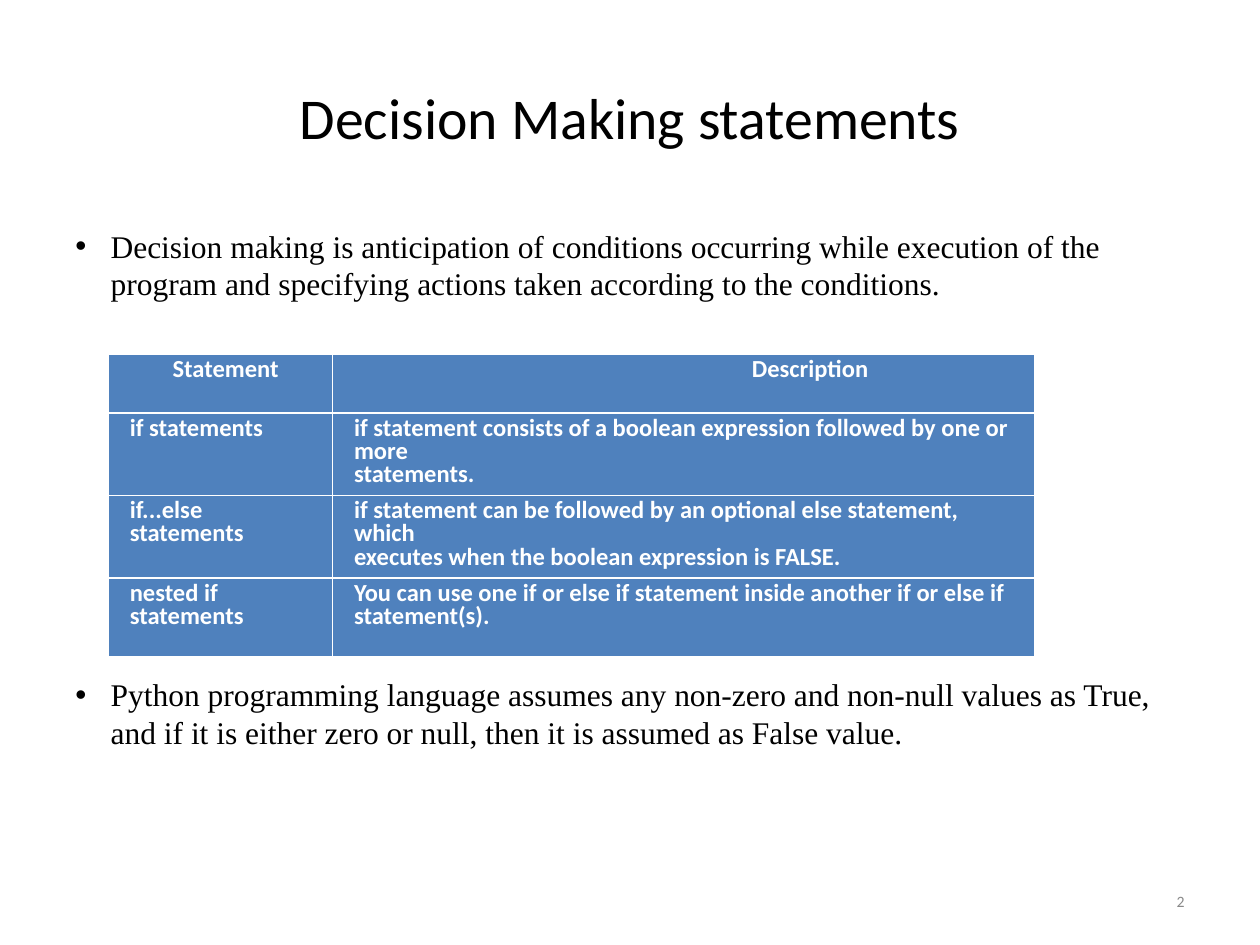
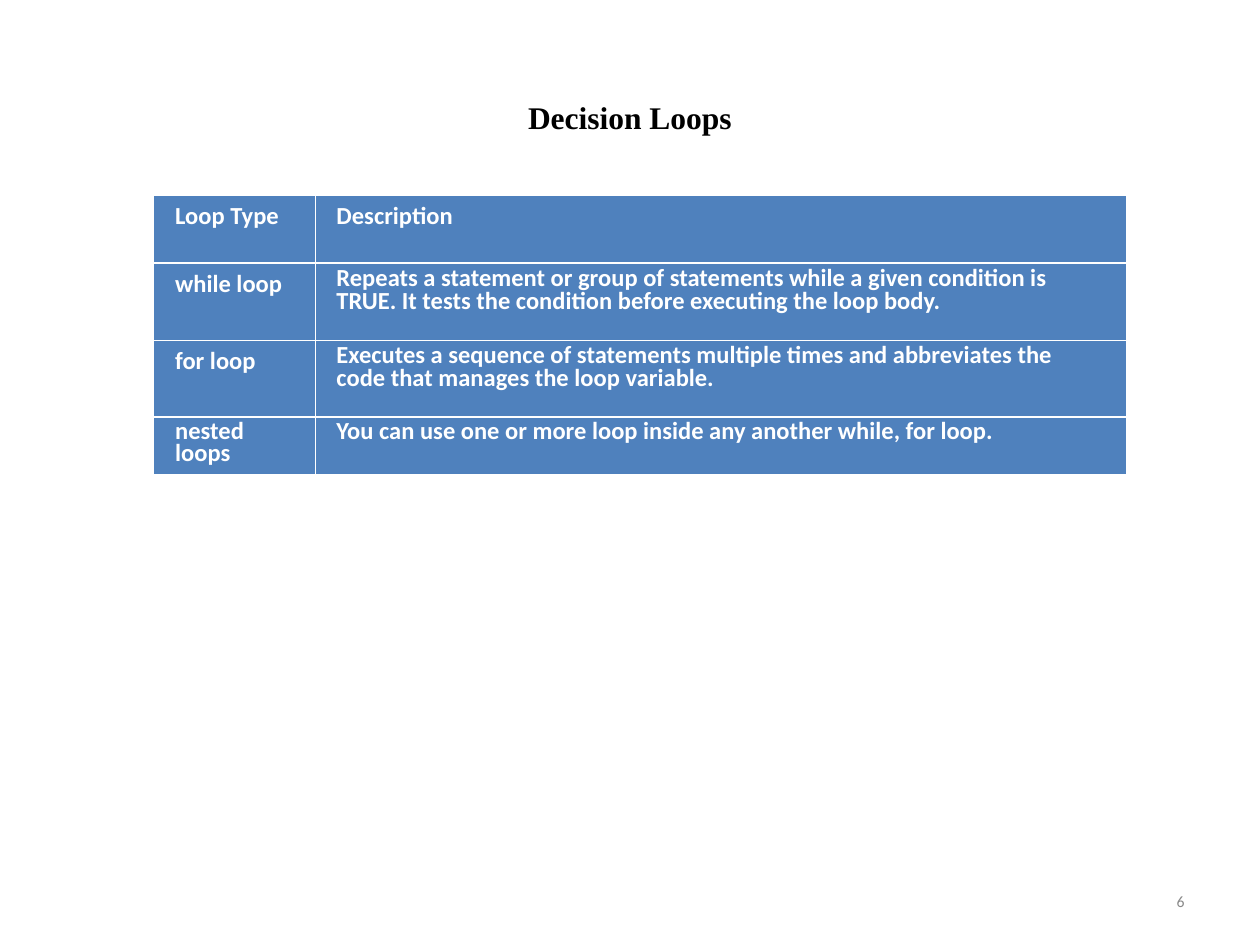
from dataclasses import dataclass

from lxml.etree import SubElement
from pptx import Presentation
from pptx.dml.color import RGBColor
from pptx.enum.text import MSO_ANCHOR, PP_ALIGN
from pptx.oxml.ns import qn
from pptx.util import Inches, Pt


@dataclass(frozen=True)
class Theme:
    """Colours, fonts and type sizes shared by the slides."""
    ink: str = "000000"
    paper: str = "FFFFFF"
    cell: str = "4F81BD"
    muted: str = "898989"
    sans: str = "Calibri"
    serif: str = "Times New Roman"
    heading: float = 33
    body: float = 18
    table: float = 14
    number: float = 9
    thin_rule: float = 0.45
    thick_rule: float = 1.47


@dataclass(frozen=True)
class Cell:
    """Lines of one table cell with their leading in points."""
    lines: tuple[str, ...]
    leading: float | None = 13.3
    indent: float = 0.07
    align: PP_ALIGN = PP_ALIGN.LEFT


@dataclass(frozen=True)
class Grid:
    """Place, measures and rows of a table, in inches."""
    left: float
    top: float
    columns: tuple[float, ...]
    heights: tuple[float, ...]
    rows: tuple[tuple[Cell, ...], ...]


@dataclass(frozen=True)
class Bullet:
    """A bulleted statement and its distance from the slide top."""
    top: float
    text: str


@dataclass(frozen=True)
class Page:
    """Content of one slide."""
    title: str
    number: int
    grid: Grid
    bullets: tuple[Bullet, ...] = ()
    serif_title: bool = False


THEME = Theme()

STATEMENTS = Grid(0.86, 2.81, (1.78, 5.57), (0.47, 0.62, 0.62, 0.62), (
    (Cell(("Statement",), 13.6, 0.41),
     Cell(("Description",), 13.6, 2.01, PP_ALIGN.CENTER)),
    (Cell(("if statements",)),
     Cell(("if statement consists of a boolean expression followed by one or more",
           "statements."))),
    (Cell(("if...else statements",)),
     Cell(("if statement can be followed by an optional else statement, which",
           "executes when the boolean expression is FALSE."))),
    (Cell(("nested if statements",)),
     Cell(("You can use one if or else if statement inside another if or else if",
           "statement(s)."))),
))

LOOPS = Grid(1.22, 1.55, (1.28, 6.44), (0.54, 0.61, 0.61, 0.31), (
    (Cell(("Loop Type",), None), Cell(("Description",), None)),
    (Cell(("while loop",), None),
     Cell(("Repeats a statement or group of statements while a given condition is",
           "TRUE. It tests the condition before executing the loop body."))),
    (Cell(("for loop",), None),
     Cell(("Executes a sequence of statements multiple times and abbreviates the",
           "code that manages the loop variable."))),
    (Cell(("nested loops",), 12.7),
     Cell(("You can use one or more loop inside any another while, for loop.",), 12.7)),
))

PAGES = (
    Page("Decision Making statements", 2, STATEMENTS, (
        Bullet(1.75, "Decision making is anticipation of conditions occurring while "
                     "execution of the program and specifying actions taken according "
                     "to the conditions."),
        Bullet(5.31, "Python programming language assumes any non-zero and non-null "
                     "values as True, and if it is either zero or null, then it is "
                     "assumed as False value."),
    )),
    Page("Decision Loops", 6, LOOPS, serif_title=True),
)


def write(paragraph, text: str, *, size: float, font: str = THEME.sans,
          color: str = THEME.ink, bold: bool = False,
          align: PP_ALIGN = PP_ALIGN.LEFT, indent: float = 0,
          bullet: bool = False, leading: float | None = None) -> None:
    """Fill a paragraph with formatted text."""
    properties = paragraph._p.get_or_add_pPr()
    properties.set("marL", str(Inches(indent)))
    properties.set("indent", str(Inches(-indent if bullet else 0)))
    if bullet:
        SubElement(properties, qn("a:buFont"), typeface="Arial")
        SubElement(properties, qn("a:buChar"), char="•")
    paragraph.alignment = align
    if leading:
        paragraph.line_spacing = Pt(leading)
    run = paragraph.add_run()
    run.text = text
    run.font.size = Pt(size)
    run.font.name = font
    run.font.bold = bold
    run.font.color.rgb = RGBColor.from_string(color)


def add_text(slide, text: str, left: float, top: float, width: float, height: float,
             *, anchor: MSO_ANCHOR = MSO_ANCHOR.MIDDLE, **style) -> None:
    """Place one wrapped paragraph on the slide."""
    frame = slide.shapes.add_textbox(
        Inches(left), Inches(top), Inches(width), Inches(height)).text_frame
    frame.word_wrap = True
    frame.vertical_anchor = anchor
    write(frame.paragraphs[0], text, **style)


def rule_width(edge: int) -> float:
    """Give the weight of a horizontal rule, which alternates down the table."""
    return THEME.thick_rule if edge % 2 else THEME.thin_rule


def add_borders(cell, row: int) -> None:
    """Draw the four rules around a cell."""
    rules = {"L": THEME.thin_rule, "R": THEME.thin_rule,
             "T": rule_width(row), "B": rule_width(row + 1)}
    for side, width in rules.items():
        line = SubElement(cell._tc.get_or_add_tcPr(), qn(f"a:ln{side}"), w=str(Pt(width)))
        fill = SubElement(line, qn("a:solidFill"))
        SubElement(fill, qn("a:srgbClr"), val=THEME.paper)


def add_grid(slide, grid: Grid) -> None:
    """Draw a table of statements."""
    table = slide.shapes.add_table(
        len(grid.heights), len(grid.columns), Inches(grid.left), Inches(grid.top),
        Inches(sum(grid.columns)), Inches(sum(grid.heights))).table
    table.horz_banding = False
    for column, width in zip(table.columns, grid.columns):
        column.width = Inches(width)
    for row, height in zip(table.rows, grid.heights):
        row.height = Inches(height)
    for row_index, entries in enumerate(grid.rows):
        for column_index, entry in enumerate(entries):
            cell = table.cell(row_index, column_index)
            add_borders(cell, row_index)
            cell.fill.solid()
            cell.fill.fore_color.rgb = RGBColor.from_string(THEME.cell)
            frame = cell.text_frame
            for line_index, line in enumerate(entry.lines):
                paragraph = frame.add_paragraph() if line_index else frame.paragraphs[0]
                write(paragraph, line, size=THEME.table, color=THEME.paper, bold=True,
                      align=entry.align, indent=entry.indent, leading=entry.leading)


def add_page(deck, page: Page) -> None:
    """Add a slide with its title, bullets, table and number."""
    slide = deck.slides.add_slide(deck.slide_layouts[6])
    add_text(slide, page.title, 0.5, 0.3, 9, 1.25, align=PP_ALIGN.CENTER,
             size=THEME.body if page.serif_title else THEME.heading,
             font=THEME.serif if page.serif_title else THEME.sans,
             bold=page.serif_title)
    for bullet in page.bullets:
        add_text(slide, bullet.text, 0.5, bullet.top, 9, 0.8, anchor=MSO_ANCHOR.TOP,
                 size=THEME.body, font=THEME.serif, indent=0.28, bullet=True)
    add_grid(slide, page.grid)
    add_text(slide, str(page.number), 7.17, 6.95, 2.33, 0.4, align=PP_ALIGN.RIGHT,
             size=THEME.number, color=THEME.muted)


def main() -> None:
    """Build and save the deck."""
    deck = Presentation()
    deck.slide_width = Inches(10)
    deck.slide_height = Inches(7.5)
    for page in PAGES:
        add_page(deck, page)
    deck.save("out.pptx")


if __name__ == "__main__":
    main()
